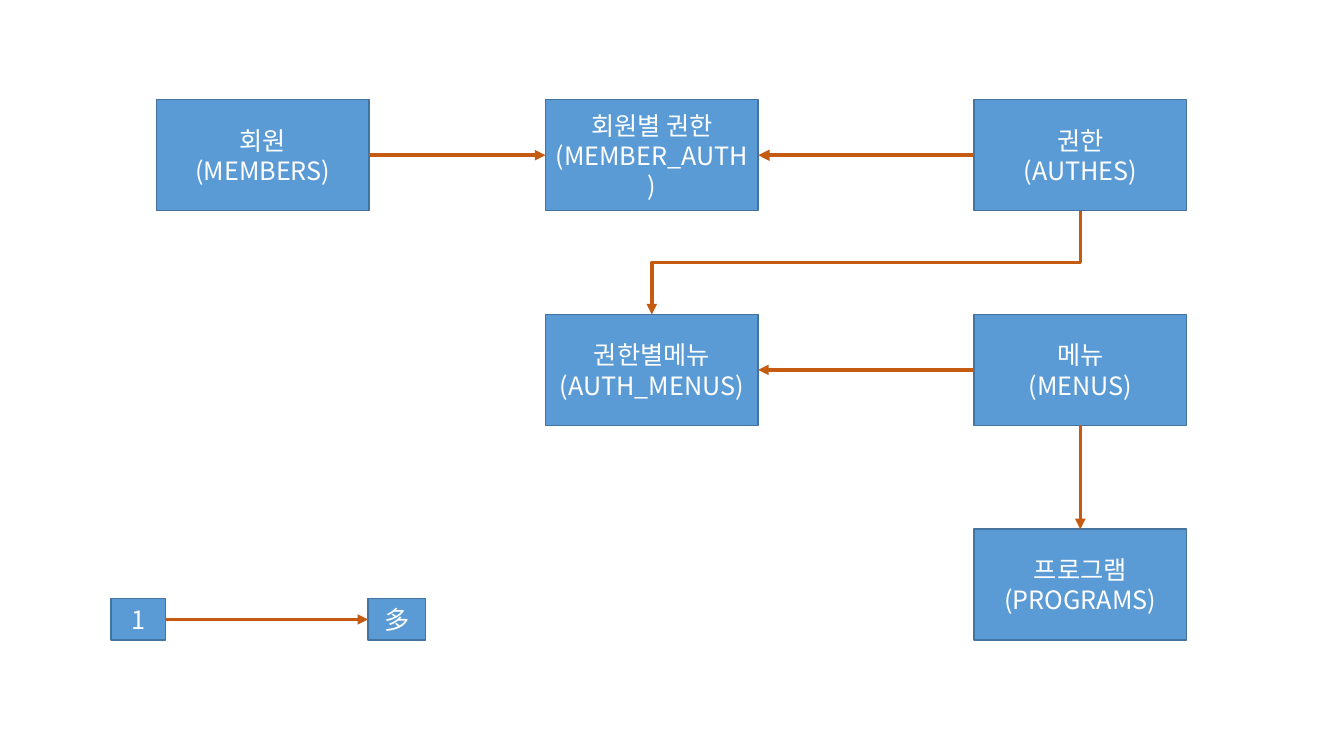
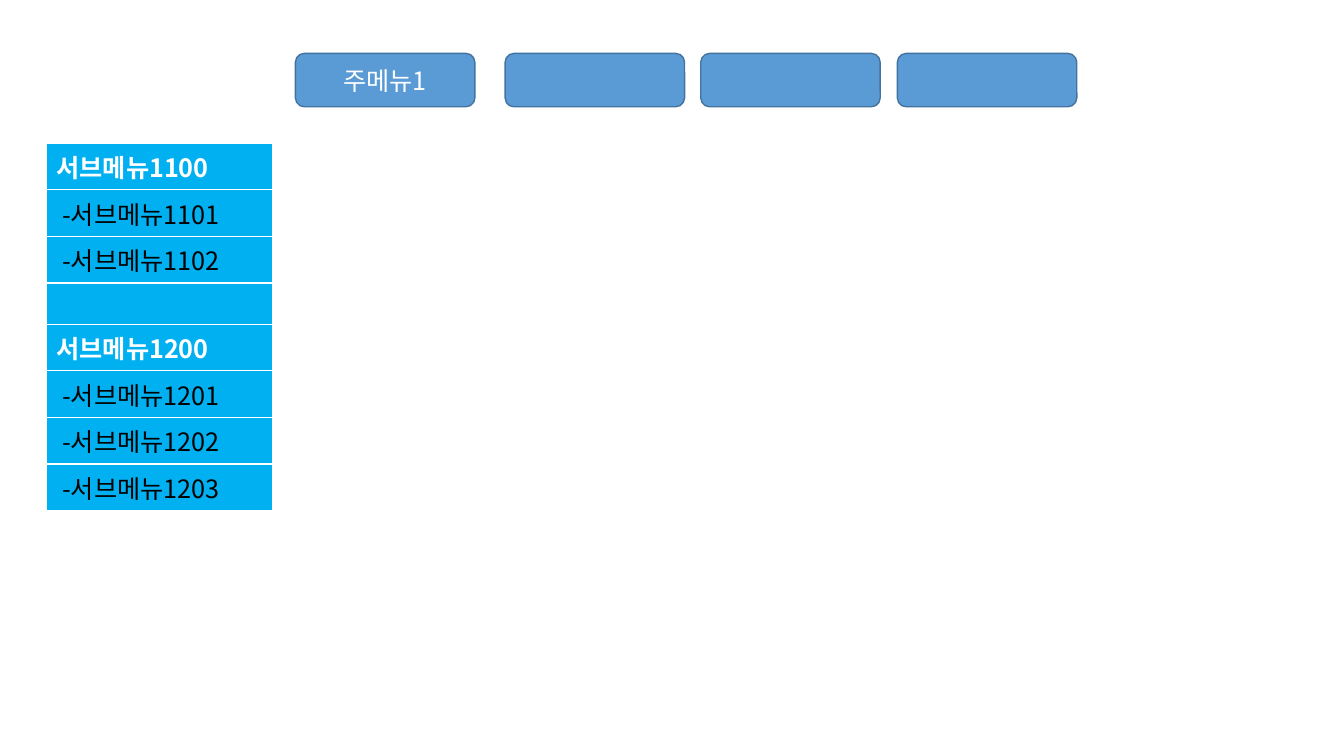
import lxml.etree
import pptx
import pptx.util
import pptx.dml.color
import pptx.enum.shapes
import pptx.enum.text
import pptx.oxml.ns

Inches = pptx.util.Inches
Pt = pptx.util.Pt
RGBColor = pptx.dml.color.RGBColor
SHAPES = pptx.enum.shapes.MSO_SHAPE
CONNECTORS = pptx.enum.shapes.MSO_CONNECTOR
qn = pptx.oxml.ns.qn

BLUE = RGBColor(0x5B, 0x9B, 0xD5)
EDGE = RGBColor(0x43, 0x73, 0x9E)
ORANGE = RGBColor(0xC5, 0x5A, 0x11)
CYAN = RGBColor(0x00, 0xB0, 0xF0)
WHITE = RGBColor(0xFF, 0xFF, 0xFF)
BLACK = RGBColor(0x00, 0x00, 0x00)
FONT = "Noto Sans CJK KR"
TOP, LEFT, BOTTOM, RIGHT = range(4)


def add_child(parent, tag, **attributes):
    lxml.etree.SubElement(parent, qn(tag), attributes)


def style_text(frame, color, bold=False):
    for paragraph in frame.paragraphs:
        for run in paragraph.runs:
            run.font.size = Pt(18)
            run.font.name = FONT
            run.font.bold = bold
            run.font.color.rgb = color
            add_child(run.font._element, "a:ea", typeface=FONT)


def add_box(page, kind, left, top, width, height, text=""):
    box = page.shapes.add_shape(
        kind, Inches(left), Inches(top), Inches(width), Inches(height))
    box.shadow.inherit = False
    box.fill.solid()
    box.fill.fore_color.rgb = BLUE
    box.line.color.rgb = EDGE
    box.line.width = Pt(1)
    frame = box.text_frame
    frame.word_wrap = True
    frame.vertical_anchor = pptx.enum.text.MSO_ANCHOR.MIDDLE
    if text:
        frame.text = text
        for paragraph in frame.paragraphs:
            paragraph.alignment = pptx.enum.text.PP_ALIGN.CENTER
        style_text(frame, WHITE)
    return box


def add_arrow(page, source, source_side, target, target_side,
              kind=CONNECTORS.STRAIGHT, weight=2.5):
    arrow = page.shapes.add_connector(kind, 0, 0, 0, 0)
    arrow.begin_connect(source, source_side)
    arrow.end_connect(target, target_side)
    arrow.line.color.rgb = ORANGE
    arrow.line.width = Pt(weight)
    add_child(arrow.line._get_or_add_ln(), "a:tailEnd", type="triangle")
    add_child(arrow._element.spPr, "a:effectLst")
    return arrow


def turn_quarter(arrow):
    center_x = arrow.left + arrow.width // 2
    center_y = arrow.top + arrow.height // 2
    width, height = arrow.height, arrow.width
    arrow.left, arrow.top = center_x - width // 2, center_y - height // 2
    arrow.width, arrow.height = width, height
    transform = arrow._element.spPr.find(qn("a:xfrm"))
    for flip in ("flipH", "flipV"):
        transform.attrib.pop(flip, None)
    transform.set("rot", str(90 * 60000))


def add_entities(page, left, top):
    columns = (0, 3.86, 8.11)
    row_step = 2.13
    entities = {
        "MEMBERS": ("회원", 0, 0),
        "AUTHES": ("권한", 2, 0),
        "MENUS": ("메뉴", 2, 1),
        "PROGRAMS": ("프로그램", 2, 2),
        "MEMBER_AUTH": ("회원별 권한", 1, 0),
        "AUTH_MENUS": ("권한별메뉴", 1, 1),
    }
    boxes = {
        name: add_box(page, SHAPES.RECTANGLE, left + columns[column],
                      top + row * row_step, 2.11, 1.1, f"{label}\n({name})")
        for name, (label, column, row) in entities.items()
    }
    add_arrow(page, boxes["MEMBERS"], RIGHT, boxes["MEMBER_AUTH"], LEFT)
    add_arrow(page, boxes["AUTHES"], LEFT, boxes["MEMBER_AUTH"], RIGHT, weight=2.75)
    add_arrow(page, boxes["MENUS"], BOTTOM, boxes["PROGRAMS"], TOP)
    add_arrow(page, boxes["MENUS"], LEFT, boxes["AUTH_MENUS"], RIGHT)
    turn_quarter(add_arrow(page, boxes["AUTHES"], BOTTOM,
                           boxes["AUTH_MENUS"], TOP, CONNECTORS.ELBOW))


def add_legend(page, left, top):
    one = add_box(page, SHAPES.RECTANGLE, left, top, 0.54, 0.41, "1")
    many = add_box(page, SHAPES.RECTANGLE, left + 2.55, top, 0.57, 0.41, "多")
    add_arrow(page, one, RIGHT, many, LEFT)


def add_main_menu(page, left, top):
    for offset, text in ((0, "주메뉴1"), (2.08, ""), (4.02, ""), (5.97, "")):
        add_box(page, SHAPES.ROUNDED_RECTANGLE, left + offset, top, 1.78, 0.53, text)


def add_submenu(page, left, top, width, row_height):
    entries = []
    for heading, count in ((1100, 2), (1200, 3)):
        if entries:
            entries.append(("", False))
        entries.append((f"서브메뉴{heading}", True))
        entries += [(f" -서브메뉴{heading + number}", False)
                    for number in range(1, count + 1)]
    table = page.shapes.add_table(
        len(entries), 1, Inches(left), Inches(top),
        Inches(width), Inches(row_height * len(entries))).table
    table.horz_banding = False
    for row, (text, is_heading) in enumerate(entries):
        table.rows[row].height = Inches(row_height)
        cell = table.cell(row, 0)
        cell.fill.solid()
        cell.fill.fore_color.rgb = CYAN
        if text:
            cell.text_frame.text = text
            style_text(cell.text_frame, WHITE if is_heading else BLACK, is_heading)


def main():
    deck = pptx.Presentation()
    deck.slide_width = Inches(13.33)
    deck.slide_height = Inches(7.5)
    blank = deck.slide_layouts[6]

    entity_page = deck.slides.add_slide(blank)
    add_entities(entity_page, 1.55, 0.99)
    add_legend(entity_page, 1.1, 5.94)

    menu_page = deck.slides.add_slide(blank)
    add_main_menu(menu_page, 2.93, 0.53)
    add_submenu(menu_page, 0.46, 1.42, 2.24, 0.41)

    deck.save("out.pptx")


if __name__ == "__main__":
    main()
